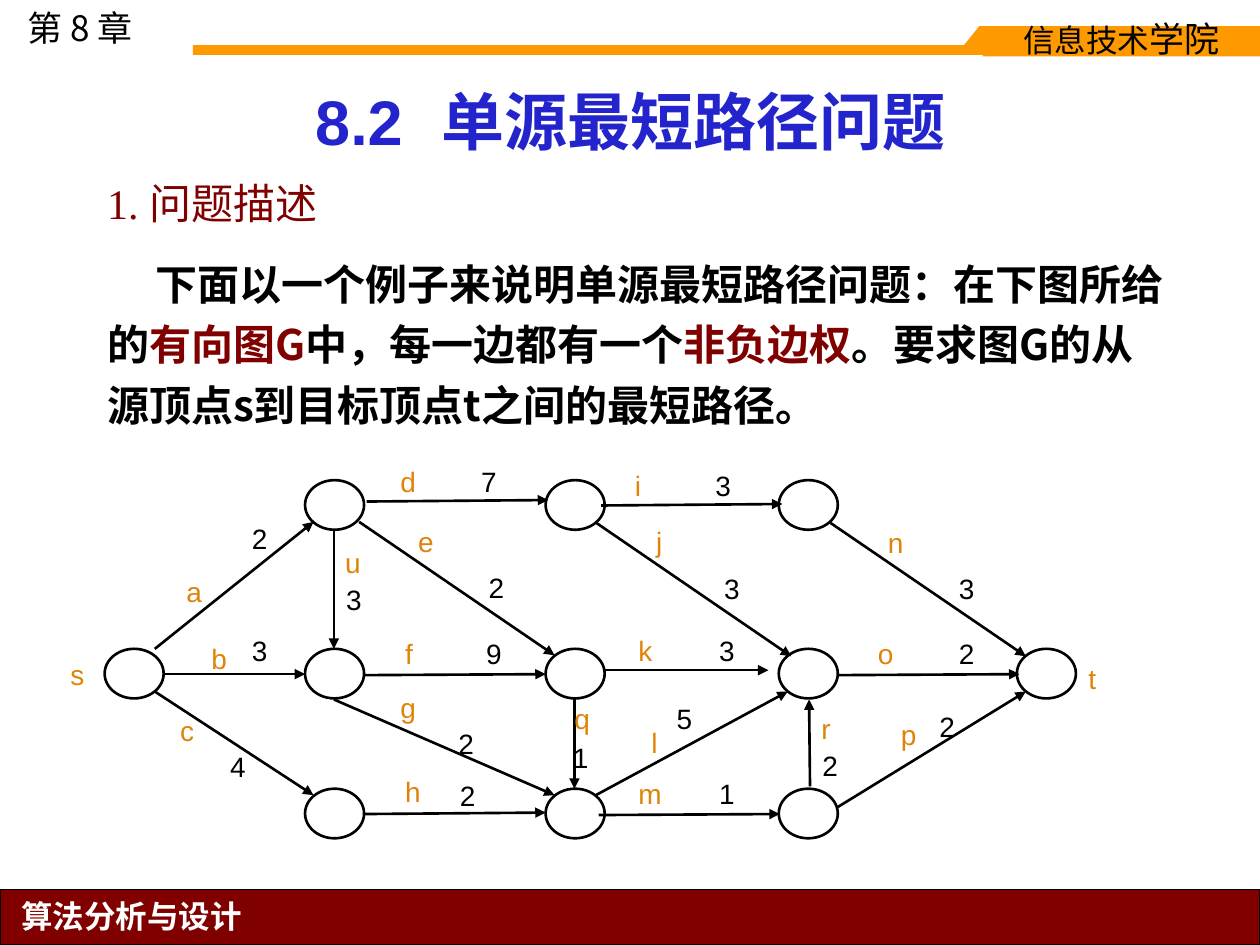
from lxml.etree import SubElement
from pptx import Presentation
from pptx.dml.color import RGBColor
from pptx.enum.shapes import MSO_CONNECTOR, MSO_SHAPE
from pptx.enum.text import MSO_ANCHOR, MSO_AUTO_SIZE, PP_ALIGN
from pptx.oxml.ns import qn
from pptx.util import Cm, Pt

BLACK, WHITE, ORANGE, MAROON = "000000", "FFFFFF", "FF9900", "800000"
LABEL_COLOR = "DF8309"
CJK_FONT = "Noto Sans CJK SC"

NODE_SIZE = (1.19, 1.0)
TOP_ROW, MIDDLE_ROW, BOTTOM_ROW = 9.68, 13.08, 15.9
NODE_COLUMNS = [
    (2.11, [MIDDLE_ROW]),
    (6.15, [TOP_ROW, MIDDLE_ROW, BOTTOM_ROW]),
    (11.0, [TOP_ROW, MIDDLE_ROW, BOTTOM_ROW]),
    (15.7, [TOP_ROW, MIDDLE_ROW, BOTTOM_ROW]),
    (20.5, [MIDDLE_ROW]),
]
# Edge name, weight, start, end, name position, weight position
EDGES = [
    ("a", 2, (3.12, 13.08), (6.32, 10.52), (3.51, 11.46), (4.83, 10.39)),
    ("b", 3, (3.3, 13.59), (6.15, 13.59), (4.01, 12.8), (4.83, 12.65)),
    ("c", 4, (3.12, 13.94), (6.32, 16.03), (3.38, 14.25), (4.39, 14.99)),
    ("u", 3, (6.73, 10.67), (6.73, 13.08), (6.71, 10.87), (6.73, 11.61)),
    ("d", 7, (7.39, 10.11), (11.05, 10.08), (7.82, 9.25), (9.45, 9.25)),
    ("e", 2, (7.24, 10.52), (11.18, 13.21), (8.18, 10.44), (9.6, 11.38)),
    ("f", 9, (7.34, 13.61), (11.0, 13.59), (7.92, 12.7), (9.55, 12.7)),
    ("g", 2, (6.73, 14.1), (11.18, 16.03), (7.82, 13.79), (8.99, 14.53)),
    ("h", 2, (7.34, 16.41), (11.0, 16.38), (7.92, 15.49), (9.02, 15.57)),
    ("i", 3, (12.12, 10.19), (15.77, 10.16), (12.55, 9.32), (14.17, 9.32)),
    ("j", 3, (11.99, 10.52), (15.95, 13.23), (12.98, 10.44), (14.35, 11.4)),
    ("k", 3, (12.19, 13.51), (15.49, 13.51), (12.62, 12.65), (14.25, 12.65)),
    ("l", 5, (12.01, 16.03), (15.88, 13.94), (12.88, 14.5), (13.39, 14.02)),
    ("m", 1, (12.07, 16.43), (15.72, 16.41), (12.62, 15.52), (14.25, 15.52)),
    ("q", 1, (11.58, 14.07), (11.58, 15.9), (11.33, 14.02), (11.3, 14.81)),
    ("n", 3, (16.71, 10.52), (20.68, 13.23), (17.65, 10.46), (19.08, 11.4)),
    ("o", 2, (16.89, 13.61), (20.55, 13.59), (17.45, 12.7), (19.08, 12.7)),
    ("r", 2, (16.33, 15.85), (16.31, 14.1), (16.31, 14.22), (16.33, 14.96)),
    ("p", 2, (16.87, 16.28), (20.68, 13.94), (17.91, 14.35), (18.69, 14.17)),
]
TERMINALS = [("s", (1.17, 13.13)), ("t", (21.69, 13.21))]


def color(value):
    return RGBColor.from_string(value)


def set_attributes(target, values):
    for name, value in values.items():
        setattr(target, name, value)


def add_run(paragraph, text, text_color, size, name="Arial", bold=False):
    run = paragraph.add_run()
    run.text = text
    set_attributes(run.font, {"size": Pt(size), "name": name, "bold": bold})
    run.font.color.rgb = color(text_color)
    east_asian = SubElement(run.font._element, qn("a:ea"))
    east_asian.set("typeface", CJK_FONT)


def add_text(slide, box, runs, **paragraph_format):
    """Add a text box; each run is (text, color, size, font, bold)."""
    text_box = slide.shapes.add_textbox(*map(Cm, box))
    text_box.text_frame.word_wrap = True
    paragraph = text_box.text_frame.paragraphs[0]
    set_attributes(paragraph, paragraph_format)
    for run in runs:
        add_run(paragraph, *run)
    return paragraph


def format_shape(shape, fill=None, line=None, width=0.75):
    shape.shadow.inherit = False
    if fill:
        shape.fill.solid()
        shape.fill.fore_color.rgb = color(fill)
    else:
        shape.fill.background()
    if line:
        shape.line.color.rgb = color(line)
        shape.line.width = Pt(width)
    else:
        shape.line.fill.background()


def add_shape(slide, kind, box, **style):
    shape = slide.shapes.add_shape(kind, *map(Cm, box))
    format_shape(shape, **style)
    return shape


def add_arrow(slide, start, end):
    arrow = slide.shapes.add_connector(
        MSO_CONNECTOR.STRAIGHT, *map(Cm, start + end))
    arrow.line.color.rgb = color(BLACK)
    arrow.line.width = Pt(1.5)
    SubElement(arrow.line._get_or_add_ln(), qn("a:tailEnd")).set("type", "triangle")
    SubElement(arrow._element.spPr, qn("a:effectLst"))


def add_symbol(slide, text, position, text_color):
    add_text(slide, position + (0.86, 0.94), [(text, text_color, 16)])


def add_header(slide):
    add_text(slide, (0.3, 0, 3.4, 1.09), [("第 8 章", BLACK, 20, CJK_FONT)])
    add_shape(slide, MSO_SHAPE.RECTANGLE, (3.89, 0.91, 19.61, 0.2), fill=ORANGE)
    add_shape(slide, MSO_SHAPE.RECTANGLE, (19.74, 0.53, 3.76, 0.41), fill=ORANGE)
    builder = slide.shapes.build_freeform(Cm(19.41), Cm(0.94))
    builder.add_line_segments(
        [(Cm(19.74), Cm(0.94)), (Cm(19.74), Cm(0.53))], close=True)
    format_shape(builder.convert_to_shape(), fill=ORANGE)
    banner = add_shape(
        slide, MSO_SHAPE.RECTANGLE, (19.81, 0.53, 5.59, 0.61), fill=ORANGE)
    banner.text_frame.vertical_anchor = MSO_ANCHOR.MIDDLE
    paragraph = banner.text_frame.paragraphs[0]
    set_attributes(paragraph, {"alignment": PP_ALIGN.CENTER, "line_spacing": 0.9})
    for text, size in (("信息技术", 18), ("学院", 20)):
        add_run(paragraph, text, BLACK, size, "DejaVu Sans")


def add_footer(slide):
    add_shape(slide, MSO_SHAPE.RECTANGLE, (0, 17.93, 25.4, 1.12),
              fill=MAROON, line=BLACK)
    add_text(slide, (0.1, 17.96, 5.1, 1.02),
             [("算法分析与设计", WHITE, 18, CJK_FONT, True)],
             alignment=PP_ALIGN.CENTER)


def format_title(slide):
    title = slide.shapes.title
    set_attributes(title, {"left": Cm(1.91), "top": Cm(1.12),
                           "width": Cm(21.59), "height": Cm(2.21)})
    set_attributes(title.text_frame, {"vertical_anchor": MSO_ANCHOR.BOTTOM,
                                      "auto_size": MSO_AUTO_SIZE.NONE,
                                      "word_wrap": True})
    paragraph = title.text_frame.paragraphs[0]
    set_attributes(paragraph, {"alignment": PP_ALIGN.CENTER, "line_spacing": 0.9})
    add_run(paragraph, "8.2\t单源最短路径问题", "2324CB", 36, bold=True)


def add_description(slide):
    add_text(slide, (1.91, 3.45, 7.44, 1.27),
             [("1. 问题描述", MAROON, 24, "Times New Roman")])
    parts = [
        ("下面以一个例子来说明单源最短路径问题：在下图所给的", BLACK),
        ("有向图G", MAROON),
        ("中，每一边都有一个", BLACK),
        ("非负边权", MAROON),
        ("。要求图G的从源顶点s到目标顶点t之间的最短路径。", BLACK),
    ]
    paragraph = add_text(
        slide, (1.91, 4.88, 22.0, 3.96),
        [part + (24, CJK_FONT, True) for part in parts], line_spacing=1.2)
    paragraph._p.get_or_add_pPr().set("indent", str(Cm(0.97)))


def add_graph(slide):
    for left, tops in NODE_COLUMNS:
        for top in tops:
            add_shape(slide, MSO_SHAPE.OVAL, (left, top) + NODE_SIZE,
                      line=BLACK, width=1.5)
    for name, weight, start, end, name_position, weight_position in EDGES:
        add_arrow(slide, start, end)
        add_symbol(slide, str(weight), weight_position, BLACK)
        add_symbol(slide, name, name_position, LABEL_COLOR)
    for name, position in TERMINALS:
        add_symbol(slide, name, position, LABEL_COLOR)


def main():
    presentation = Presentation()
    presentation.slide_width, presentation.slide_height = Cm(25.4), Cm(19.05)
    slide = presentation.slides.add_slide(presentation.slide_layouts[5])
    add_header(slide)
    add_footer(slide)
    format_title(slide)
    add_description(slide)
    add_graph(slide)
    presentation.save("out.pptx")


if __name__ == "__main__":
    main()
